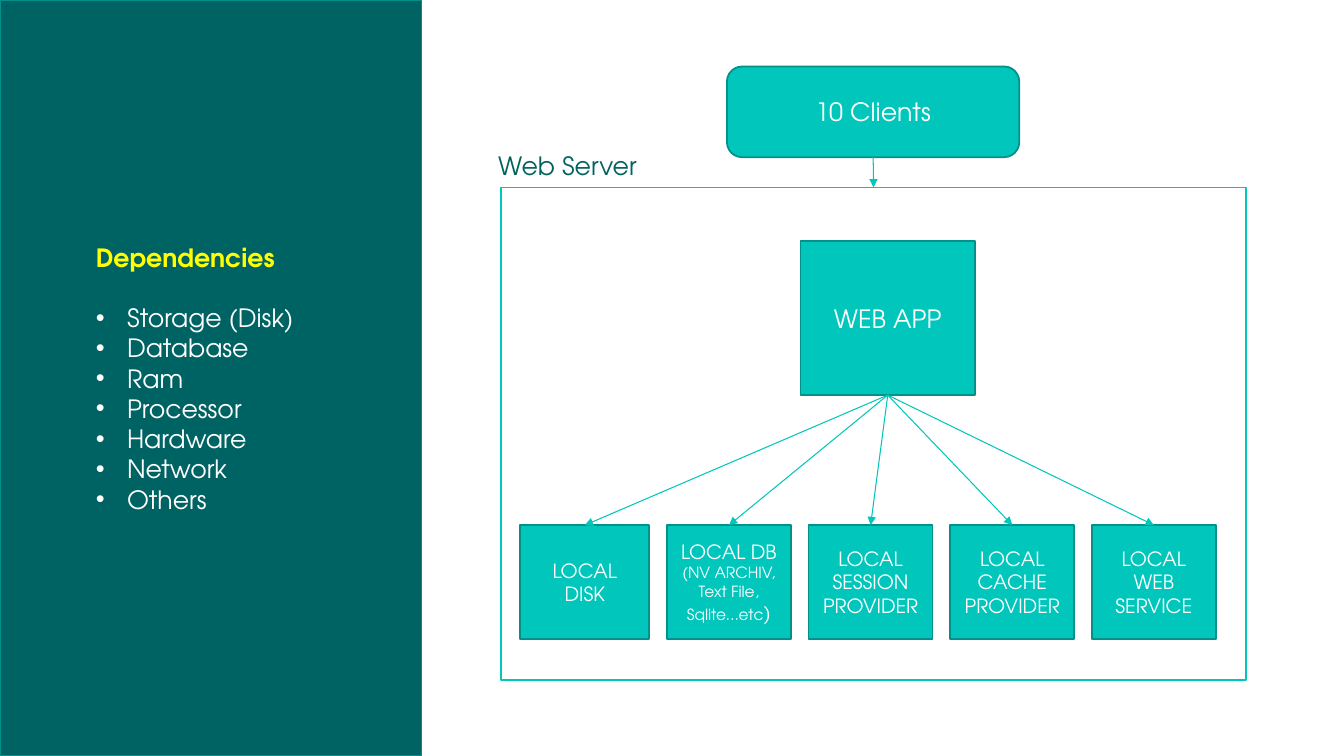
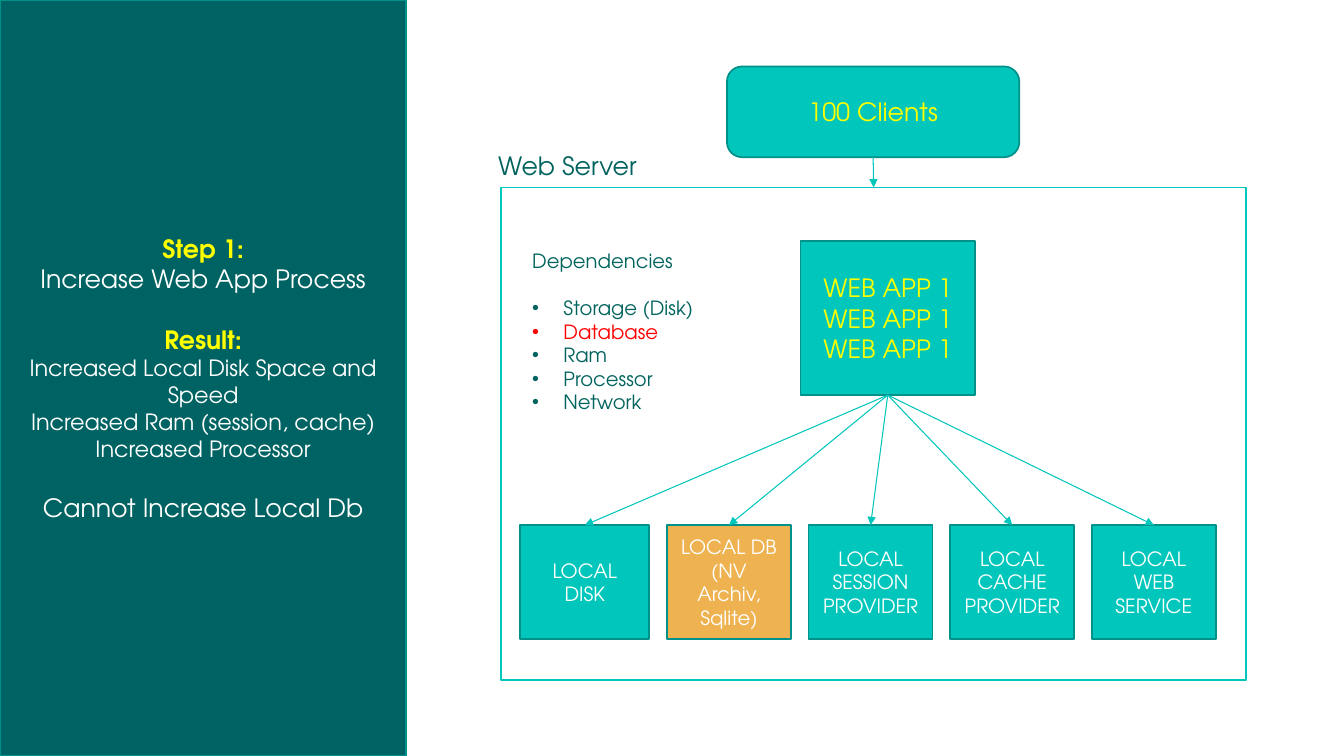
"""Build two slides on the dependencies of a web server."""
from dataclasses import dataclass

from lxml import etree
from pptx import Presentation
from pptx import util as u
from pptx.dml import color
from pptx.enum import shapes, text
from pptx.oxml import ns


@dataclass(frozen=True)
class Theme:
    """Colours, type sizes, line widths and font of the deck."""
    font: str = "TeX Gyre Adventor"
    panel: str = "006363"
    teal: str = "00C6BB"
    edge: str = "00928A"
    amber: str = "EFB251"
    white: str = "FFFFFF"
    dark: str = "00635D"
    yellow: str = "FFFF00"
    red: str = "FF0000"
    big: int = 18
    mid: int = 16
    base: int = 14
    small: int = 11
    border: float = 1.25
    thin: float = 0.75
    blank: float = 1.2


T = Theme()
LEFT, MID = text.PP_ALIGN.LEFT, text.PP_ALIGN.CENTER
RECT, ROUND = shapes.MSO_SHAPE.RECTANGLE, shapes.MSO_SHAPE.ROUNDED_RECTANGLE


@dataclass
class Run:
    """A piece of text in one style."""
    words: str
    size: int = T.base
    ink: str = T.white
    bold: bool = False


@dataclass
class Line:
    """A paragraph: its runs, the gaps around it and its bullet."""
    runs: list
    before: float = 0
    after: float = 0
    bullet: bool = False


def line(words, size=T.base, ink=T.white, bold=False, **opts):
    """Make a paragraph of a single run."""
    return Line([Run(words, size, ink, bold)], **opts)


def put(item, **vals):
    """Set several attributes on one object."""
    for key, val in vals.items():
        setattr(item, key, val)


def rgb(code):
    """Turn a hex code into a colour."""
    return color.RGBColor.from_string(code)


def inch(*vals):
    """Turn numbers into lengths."""
    return [u.Inches(val) for val in vals]


def bullet(para):
    """Give a paragraph a hanging bullet."""
    props = para._p.get_or_add_pPr()
    hang = u.Inches(0.31)
    props.set("marL", str(hang))
    props.set("indent", str(-hang))
    etree.SubElement(props, ns.qn("a:buFont")).set("typeface", "Arial")
    etree.SubElement(props, ns.qn("a:buChar")).set("char", "•")


def write(shape, lines, align=MID, **frame):
    """Fill a shape with paragraphs."""
    body = shape.text_frame
    put(body, **{"word_wrap": True, "auto_size": text.MSO_AUTO_SIZE.NONE,
                 "vertical_anchor": text.MSO_ANCHOR.MIDDLE, **frame})
    for num, row in enumerate(lines):
        para = body.add_paragraph() if num else body.paragraphs[0]
        put(para, alignment=align, space_before=u.Pt(row.before),
            space_after=u.Pt(row.after))
        for part in row.runs:
            run = para.add_run()
            run.text = part.words
            put(run.font, name=T.font, size=u.Pt(part.size), bold=part.bold)
            run.font.color.rgb = rgb(part.ink)
        if row.bullet:
            bullet(para)


def block(slide, box, fill=T.teal, edge=T.edge, kind=RECT):
    """Draw a filled and outlined shape."""
    shape = slide.shapes.add_shape(kind, *inch(*box))
    shape.shadow.inherit = False
    shape.fill.solid()
    shape.fill.fore_color.rgb = rgb(fill)
    shape.line.color.rgb = rgb(edge)
    shape.line.width = u.Pt(T.border)
    return shape


def arrow(slide, start, end):
    """Join the bottom of one shape to the top of another."""
    link = slide.shapes.add_connector(
        shapes.MSO_CONNECTOR.STRAIGHT, 0, 0, 0, 0)
    link.begin_connect(start, 2)
    link.end_connect(end, 0)
    link.line.color.rgb = rgb(T.teal)
    link.line.width = u.Pt(T.thin)
    tip = etree.SubElement(link.line._get_or_add_ln(), ns.qn("a:tailEnd"))
    tip.set("type", "triangle")
    etree.SubElement(link._element.spPr, ns.qn("a:effectLst"))


def panel(slide, width, lines, align=MID, inset=0.1):
    """Draw the dark band at the left with its text."""
    band = block(slide, (0, 0, width, 7.5), T.panel)
    write(band, lines, align, margin_left=u.Inches(inset))


def depend(names, size, ink, head, bold=False, hot=""):
    """List the dependencies under a heading."""
    top = line("Dependencies", size, head, bold, after=size * T.blank)
    return [top] + [line(name, size, T.red if name == hot else ink,
                         bullet=True) for name in names]


def title(slide, box):
    """Place the server label above its box."""
    label = slide.shapes.title
    left, top = box[:2]
    put(label, **dict(zip(("left", "top", "width", "height"),
                          inch(left - 0.13, top - 0.42, 1.6, 0.4))))
    write(label, [line("Web Server", T.big, T.dark)], LEFT, word_wrap=False,
          vertical_anchor=text.MSO_ANCHOR.TOP)


def tiles(slide, box, local, fill):
    """Draw the row of local services, evenly spaced."""
    left, top, width, height = box
    labels = [[line("LOCAL DISK")], local]
    labels += [[line(f"LOCAL {name}")] for name in
               ("SESSION PROVIDER", "CACHE PROVIDER", "WEB SERVICE")]
    sizes = [1.28] + [1.23] * 4
    gap = (width - sum(sizes)) / (len(sizes) - 1)
    row = []
    for label, size in zip(labels, sizes):
        tile = block(slide, (left, top, size, height),
                     fill if label is local else T.teal)
        write(tile, label)
        row.append(tile)
        left += size + gap
    return row


def server(slide, box, app, local, fill=T.teal):
    """Draw the server box with the web app and its services."""
    left, top = box[:2]
    title(slide, box)
    frame = block(slide, box, T.white, T.teal)
    core = block(slide, (left + 2.97, top + 0.53, 1.73, 1.53))
    write(core, app)
    for tile in tiles(slide, (left + 0.19, top + 3.35, 6.9, 1.13),
                      local, fill):
        arrow(slide, core, tile)
    return frame


def client(slide, box, label, ink, frame):
    """Draw the clients and their arrow to the server."""
    shape = block(slide, box, kind=ROUND)
    write(shape, [line(label, T.big, ink)])
    arrow(slide, shape, frame)


def scene(slide, label, ink, app, local, fill=T.teal):
    """Draw the whole diagram of clients and server."""
    frame = server(slide, (4.97, 1.86, 7.39, 4.89), app, local, fill)
    client(slide, (7.21, 0.66, 2.9, 0.9), label, ink, frame)


def first(slide):
    """Build the slide with ten clients."""
    names = ("Storage (Disk)", "Database", "Ram", "Processor", "Hardware",
             "Network", "Others")
    panel(slide, 4.18, depend(names, T.big, T.white, T.yellow, True),
          LEFT, 0.95)
    local = [line("LOCAL DB"),
             Line([Run("(NV ARCHIV, Text File, Sqlite…etc", T.small),
                   Run(")")])]
    scene(slide, "10 Clients", T.white, [line("WEB APP", T.big)], local)


def second(slide):
    """Build the slide with a hundred clients."""
    gap = T.big * T.blank
    results = ("Increased Local Disk Space and Speed",
               "Increased Ram (session, cache)", "Increased Processor")
    panel(slide, 4.03, [
        line("Step 1:", T.big, T.yellow, True),
        line("Increase Web App Process", T.big),
        line("Result:", T.big, T.yellow, True, before=gap),
        *[line(item, T.mid) for item in results],
        line("Cannot Increase Local Db", T.big, before=gap)])
    scene(slide, "100 Clients", T.yellow,
          [line("WEB APP 1", T.big, T.yellow)] * 3,
          [line("LOCAL DB"), line("(NV Archiv, Sqlite)")], T.amber)
    names = ("Storage (Disk)", "Database", "Ram", "Processor", "Network")
    note = slide.shapes.add_textbox(*inch(5.18, 2.42, 1.82, 1.99))
    write(note, depend(names, T.base, T.dark, T.dark, hot="Database"), LEFT,
          word_wrap=False, vertical_anchor=text.MSO_ANCHOR.TOP)


def main():
    """Build and save the deck."""
    deck = Presentation()
    put(deck, slide_width=u.Inches(13.33), slide_height=u.Inches(7.5))
    for build in (first, second):
        build(deck.slides.add_slide(deck.slide_layouts[5]))
    deck.save("out.pptx")


if __name__ == "__main__":
    main()
